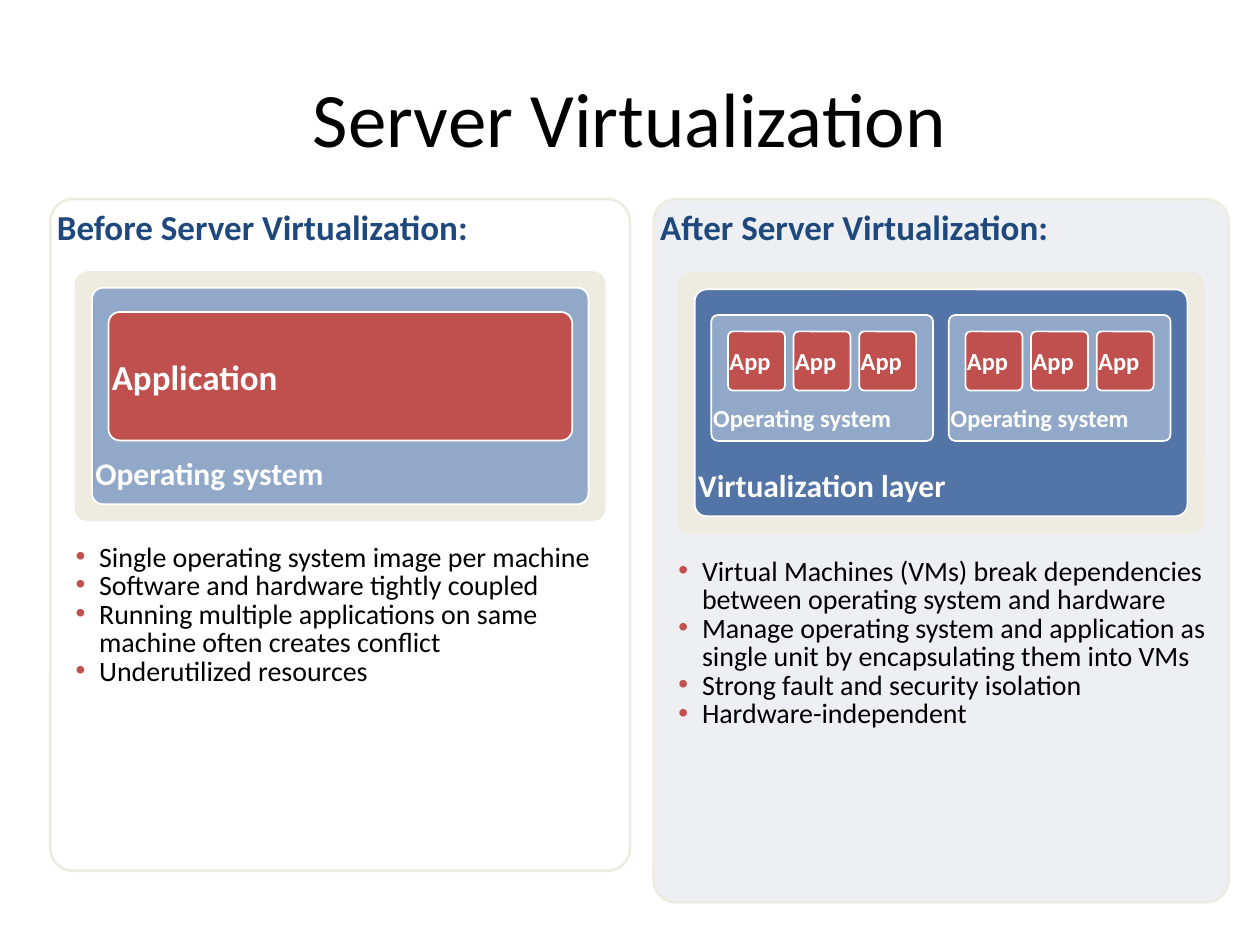
"""Build the slide that compares servers before and after virtualization."""
from dataclasses import dataclass
from typing import Optional

from lxml import etree
from pptx import Presentation
from pptx import util as u
from pptx.dml.color import RGBColor
from pptx.enum import shapes, text
from pptx.oxml import ns

FONT = "Calibri"
WHITE, BLACK, NAVY = "FFFFFF", "000000", "1F497D"
CREAM, PALE, RED = "EEECE1", "EDEFF3", "C0504D"
LIGHT_BLUE, MID_BLUE = "92A8C8", "5274A6"
TOP, MIDDLE, BOTTOM = (
    text.MSO_ANCHOR.TOP, text.MSO_ANCHOR.MIDDLE, text.MSO_ANCHOR.BOTTOM)
OS_PITCH, APP_PITCH = 135.7, 37.5


@dataclass(frozen=True)
class Block:
    left: float
    top: float
    width: float
    height: float
    corner: float
    fill: Optional[str]
    line: str = WHITE
    line_width: float = 1
    label: str = ""
    size: float = 14
    color: str = WHITE
    anchor: text.MSO_ANCHOR = MIDDLE
    bottom_inset: float = 0


@dataclass(frozen=True)
class BulletList:
    left: float
    top: float
    width: float
    height: float
    items: tuple[str, ...]


def rgb(value: str) -> RGBColor:
    """Turn a hex string into a colour."""
    return RGBColor.from_string(value)


def add_span(para, words: str, size: float, color: str, bold: bool = False) -> None:
    """Add one formatted run to a paragraph."""
    span = para.add_run()
    span.text = words
    span.font.name = FONT
    span.font.size = u.Pt(size)
    span.font.bold = bold
    span.font.color.rgb = rgb(color)


def set_frame(frame, anchor: text.MSO_ANCHOR, bottom_inset: float = 0) -> None:
    """Set wrapping, anchor and insets of a text frame."""
    frame.word_wrap = True
    frame.vertical_anchor = anchor
    frame.margin_left = frame.margin_top = frame.margin_right = u.Pt(0)
    frame.margin_bottom = u.Pt(bottom_inset)


def draw_block(page, block: Block) -> None:
    """Draw a rounded rectangle with its label."""
    box = page.shapes.add_shape(
        shapes.MSO_SHAPE.ROUNDED_RECTANGLE, u.Pt(block.left), u.Pt(block.top),
        u.Pt(block.width), u.Pt(block.height))
    box.adjustments[0] = block.corner
    box.shadow.inherit = False
    if block.fill:
        box.fill.solid()
        box.fill.fore_color.rgb = rgb(block.fill)
    else:
        box.fill.background()
    box.line.color.rgb = rgb(block.line)
    box.line.width = u.Pt(block.line_width)
    if block.label:
        set_frame(box.text_frame, block.anchor, block.bottom_inset)
        para = box.text_frame.paragraphs[0]
        para.alignment = text.PP_ALIGN.LEFT
        add_span(para, block.label, block.size, block.color, True)


def set_bullet(para) -> None:
    """Give a paragraph a red bullet with a hanging indent."""
    props = para._p.get_or_add_pPr()
    props.set("marL", str(u.Pt(13.5)))
    props.set("indent", str(u.Pt(-13.5)))
    color = etree.SubElement(props, ns.qn("a:buClr"))
    etree.SubElement(color, ns.qn("a:srgbClr"), val=RED)
    etree.SubElement(props, ns.qn("a:buFont"), typeface="Arial")
    etree.SubElement(props, ns.qn("a:buChar"), char="•")


def draw_bullets(page, bullets: BulletList) -> None:
    """Draw a bulleted list in a text box."""
    box = page.shapes.add_textbox(
        u.Pt(bullets.left), u.Pt(bullets.top), u.Pt(bullets.width), u.Pt(bullets.height))
    frame = box.text_frame
    set_frame(frame, TOP)
    frame.auto_size = text.MSO_AUTO_SIZE.SHAPE_TO_FIT_TEXT
    for index, item in enumerate(bullets.items):
        para = frame.add_paragraph() if index else frame.paragraphs[0]
        set_bullet(para)
        para.line_spacing = 0.85
        add_span(para, item, 16, BLACK)


def draw_title(page, words: str) -> None:
    """Place and format the title placeholder."""
    title = page.shapes.title
    title.left, title.top = u.Pt(36), u.Pt(21.6)
    title.width, title.height = u.Pt(648), u.Pt(90)
    title.text_frame.vertical_anchor = MIDDLE
    para = title.text_frame.paragraphs[0]
    para.alignment = text.PP_ALIGN.CENTER
    add_span(para, words, 44, BLACK)


def guest_blocks(left: float) -> list[Block]:
    """Return one guest operating system with its three apps."""
    system = Block(left, 180, 126.7, 72, 0.052, LIGHT_BLUE,
                   label="Operating system", anchor=BOTTOM, bottom_inset=3.6)
    apps = [Block(left + 9.5 + column * APP_PITCH, 189.4, 32.5, 33.8, 0.088, RED,
                  label="App") for column in range(3)]
    return [system, *apps]


BEFORE = [
    Block(28.8, 113.8, 331.2, 383.8, 0.039, None, CREAM, 1.5,
          "Before Server Virtualization:", 20, NAVY, TOP),
    Block(43.2, 155.5, 302.4, 141.8, 0.049, CREAM, CREAM),
    Block(52.6, 164.4, 283.7, 123.8, 0.052, LIGHT_BLUE, label="Operating system",
          size=18, anchor=BOTTOM, bottom_inset=5),
    Block(62, 178.3, 265, 73.4, 0.088, RED, label="Application", size=20),
]
AFTER = [
    Block(373.5, 113.8, 328.5, 401.8, 0.039, PALE, CREAM, 1.5,
          "After Server Virtualization:", 20, NAVY, TOP),
    Block(387.4, 155.9, 300.4, 148.7, 0.049, CREAM, CREAM),
    Block(397, 165.4, 281.5, 129.6, 0.052, MID_BLUE, label="Virtualization layer",
          size=18, anchor=BOTTOM, bottom_inset=5),
    *guest_blocks(406.5),
    *guest_blocks(406.5 + OS_PITCH),
]
LISTS = [
    BulletList(43.2, 311, 312.5, 129.6, (
        "Single operating system image per machine",
        "Software and hardware tightly coupled",
        "Running multiple applications on same machine often creates conflict",
        "Underutilized resources")),
    BulletList(387.7, 319, 304.6, 169.2, (
        "Virtual Machines (VMs) break dependencies between operating system and hardware",
        "Manage operating system and application as single unit by encapsulating them into VMs",
        "Strong fault and security isolation",
        "Hardware-independent")),
]


def main() -> None:
    """Build and save the deck."""
    deck = Presentation()
    deck.slide_width, deck.slide_height = u.Pt(720), u.Pt(540)
    page = deck.slides.add_slide(deck.slide_layouts.get_by_name("Title Only"))
    draw_title(page, "Server Virtualization")
    for blocks, bullets in zip((BEFORE, AFTER), LISTS):
        for block in blocks:
            draw_block(page, block)
        draw_bullets(page, bullets)
    deck.save("out.pptx")


if __name__ == "__main__":
    main()
